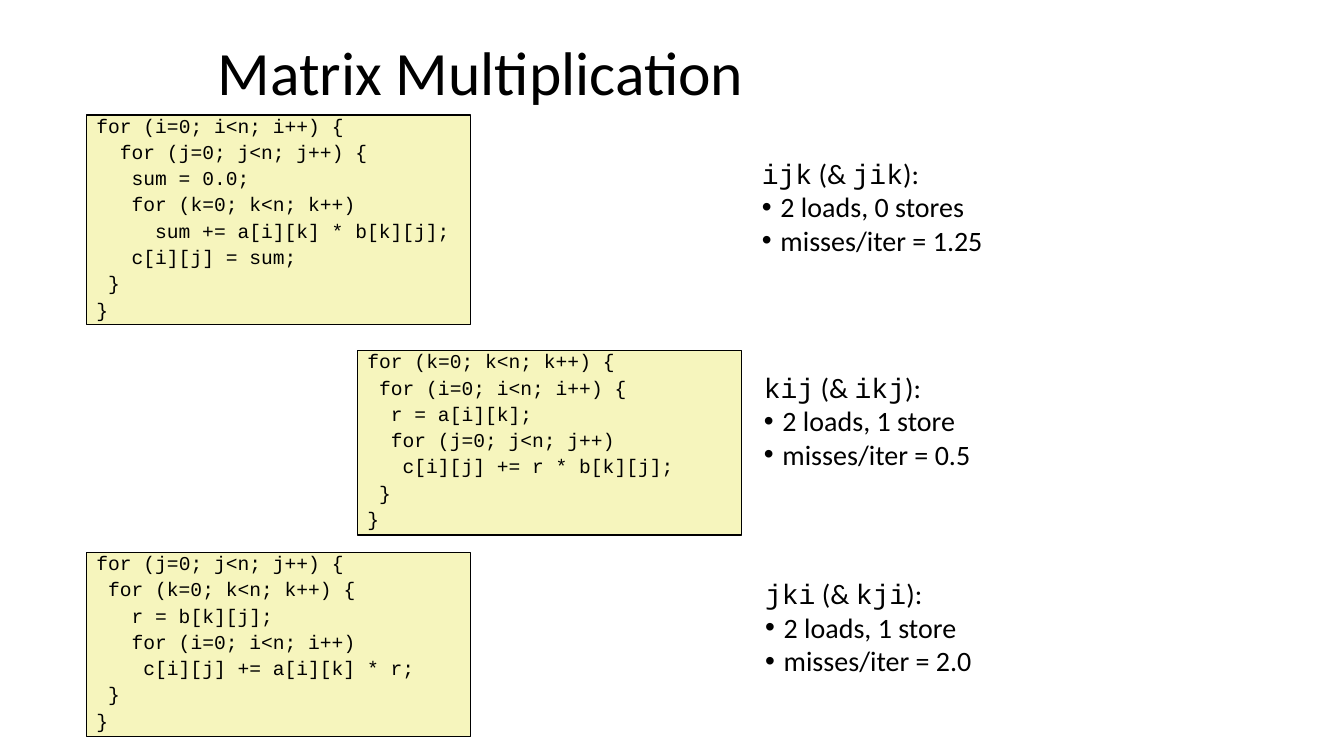
from lxml.etree import SubElement
from pptx import Presentation
from pptx.dml.color import RGBColor
from pptx.enum.shapes import MSO_SHAPE
from pptx.enum.text import MSO_ANCHOR, PP_ALIGN
from pptx.oxml.ns import qn
from pptx.util import Cm, Pt

SANS, MONO = "Calibri", "Courier New"
INK, CREAM = "000000", "F6F5BD"
CODE_SIZE = 14
CHAR_WIDTH = Pt(CODE_SIZE * 0.6)

CODES = [
    (2.18, 2.9, 5.28, """for (i=0; i<n; i++) {
  for (j=0; j<n; j++) {
   sum = 0.0;
   for (k=0; k<n; k++)
     sum += a[i][k] * b[k][j];
   c[i][j] = sum;
 }
}"""),
    (9.01, 8.84, 4.64, """for (k=0; k<n; k++) {
 for (i=0; i<n; i++) {
  r = a[i][k];
  for (j=0; j<n; j++)
   c[i][j] += r * b[k][j];
 }
}"""),
    (2.18, 13.92, 4.64, """for (j=0; j<n; j++) {
 for (k=0; k<n; k++) {
   r = b[k][j];
   for (i=0; i<n; i++)
    c[i][j] += a[i][k] * r;
 }
}"""),
]

NOTES = [
    (18.95, 3.81, "ijk", "jik", "2 loads, 0 stores", "1.25"),
    (19.0, 9.2, "kij", "ikj", "2 loads, 1 store", "0.5"),
    (19.03, 14.4, "jki", "kji", "2 loads, 1 store", "2.0"),
]


def paint(code):
    """Turn a hex string into a colour."""
    return RGBColor.from_string(code)


def write(para, text, size=20, font=SANS, color=INK):
    """Add a run of text with its format."""
    run = para.add_run()
    run.text = text
    run.font.size = Pt(size)
    run.font.name = font
    run.font.color.rgb = paint(color)


def indent(para, left, first=0, mark=None):
    """Set the indents and the bullet of a paragraph."""
    props = para._p.get_or_add_pPr()
    props.set("marL", str(int(left)))
    props.set("indent", str(int(first)))
    if mark:
        SubElement(props, qn("a:buFont")).set("typeface", "Arial")
        SubElement(props, qn("a:buChar")).set("char", mark)


def lines(frame, count):
    """Return the given number of paragraphs in a frame."""
    for _ in range(count - 1):
        frame.add_paragraph()
    return frame.paragraphs


def add_box(slide, left, top, width, height):
    """Add a text box that wraps and return its frame."""
    frame = slide.shapes.add_textbox(
        Cm(left), Cm(top), Cm(width), Cm(height)).text_frame
    frame.word_wrap = True
    return frame


def add_title(slide, text):
    """Add the slide title."""
    frame = add_box(slide, 5.23, 0.84, 21.08, 2.11)
    frame.vertical_anchor = MSO_ANCHOR.MIDDLE
    para = frame.paragraphs[0]
    para.line_spacing = 0.9
    write(para, text, size=44)


def add_code(slide, left, top, height, code):
    """Add a framed code panel, indented by its leading spaces."""
    panel = slide.shapes.add_shape(
        MSO_SHAPE.RECTANGLE, Cm(left), Cm(top), Cm(9.68), Cm(height))
    panel.shadow.inherit = False
    panel.fill.solid()
    panel.fill.fore_color.rgb = paint(CREAM)
    panel.line.color.rgb = paint(INK)
    panel.line.width = Pt(1)
    frame = panel.text_frame
    frame.word_wrap = True
    frame.vertical_anchor = MSO_ANCHOR.TOP
    rows = code.splitlines()
    for para, row in zip(lines(frame, len(rows)), rows):
        text = row.lstrip()
        para.alignment = PP_ALIGN.LEFT
        para.line_spacing = 0.7
        para.space_before = Pt(7)
        indent(para, (len(row) - len(text)) * CHAR_WIDTH)
        write(para, text, size=CODE_SIZE, font=MONO)


def add_note(slide, left, top, order, twin, loads, misses):
    """Add the costs of a loop order and its twin."""
    head, *points = lines(add_box(slide, left, top, 7.2, 2.8), 3)
    for text, font in ((order, MONO), (" (& ", SANS), (twin, MONO), ("):", SANS)):
        write(head, text, font=font)
    for para, text in zip(points, (loads, f"misses/iter = {misses}")):
        indent(para, Cm(0.47), -Cm(0.47), "•")
        write(para, text)


def main():
    """Build the slide and save it."""
    deck = Presentation()
    deck.slide_width, deck.slide_height = Cm(33.87), Cm(19.05)
    slide = deck.slides.add_slide(deck.slide_layouts[6])
    add_title(slide, "Matrix Multiplication")
    for note in NOTES:
        add_note(slide, *note)
    for code in CODES:
        add_code(slide, *code)
    deck.save("out.pptx")


main()
